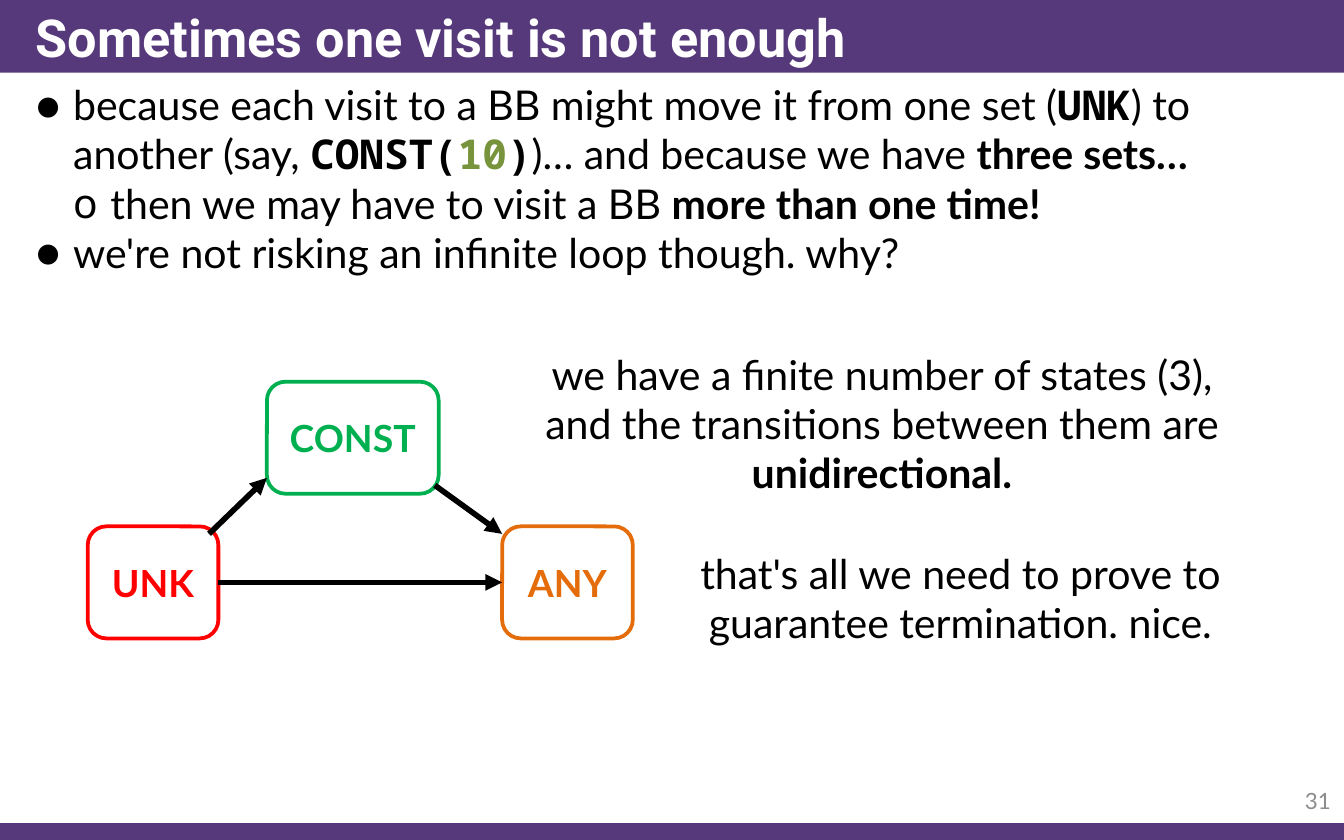
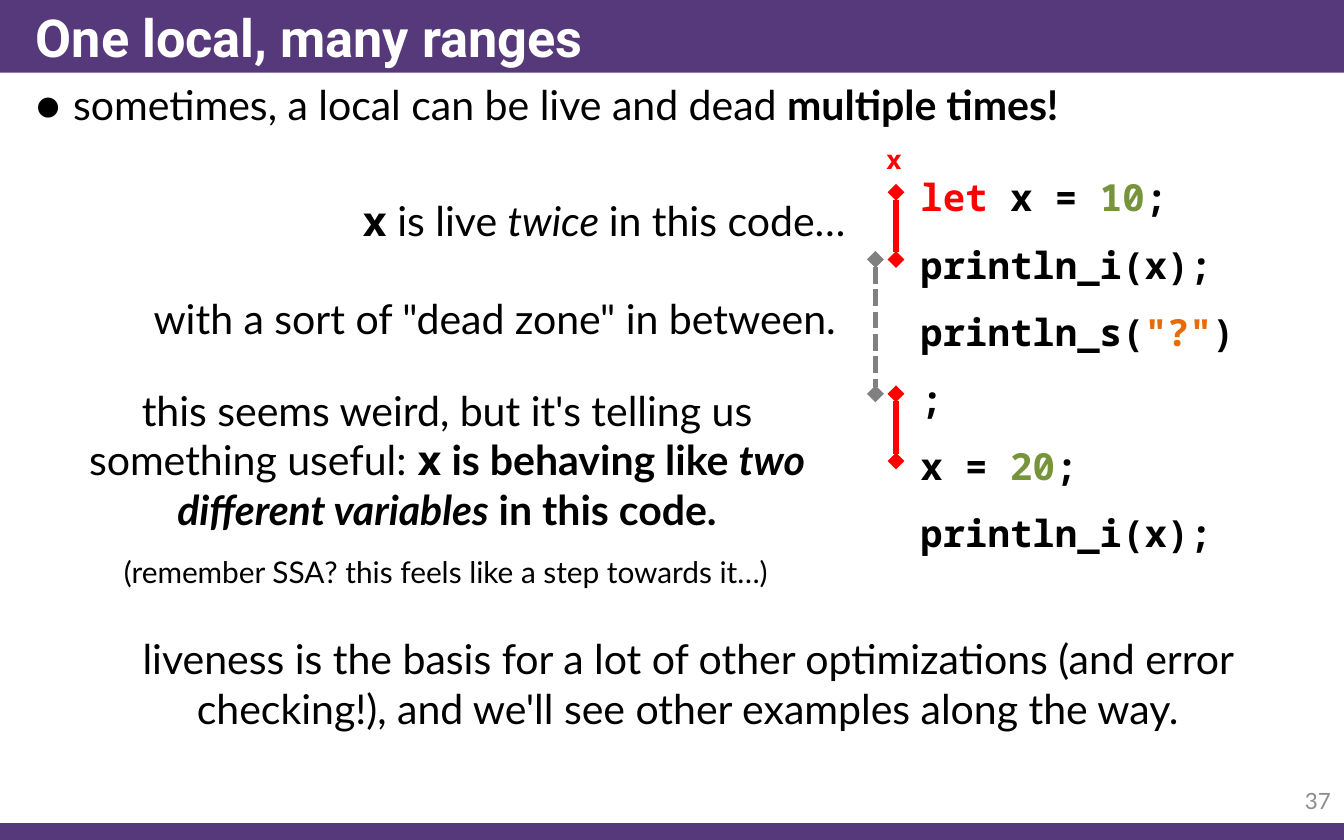
"""Build two lecture slides on constant sets and live ranges."""
import pptx
import pptx.util
import pptx.dml.color
import pptx.enum.dml
import pptx.enum.shapes
import pptx.enum.text
import pptx.oxml.ns
from lxml import etree

Pt = pptx.util.Pt
Rgb = pptx.dml.color.RGBColor.from_string
qn = pptx.oxml.ns.qn
Align = pptx.enum.text.PP_ALIGN
Anchor = pptx.enum.text.MSO_ANCHOR
Kind = pptx.enum.shapes.MSO_SHAPE
Dash = pptx.enum.dml.MSO_LINE


class Theme:
    """Colours, fonts and type sizes."""
    band, ink, white = "56397B", "000000", "FFFFFF"
    red, green, orange = "FF0000", "00B050", "E46C0A"
    olive, grey, faint = "77933C", "808080", "8C8C8C"
    sans, mono, head = "Lato", "Noto Sans Mono", "Roboto"
    title, body, code, note, tag, page = 28, 22, 20, 16, 14, 12


def put(frame, *rows, align=Align.LEFT, anchor=Anchor.TOP, lead=None, wrap=True, **base):
    """Write rows of text, or of (text, format) runs, into a frame."""
    frame.word_wrap = wrap
    frame.auto_size = pptx.enum.text.MSO_AUTO_SIZE.NONE
    frame.vertical_anchor = anchor
    for num, row in enumerate(rows):
        par = frame.add_paragraph() if num else frame.paragraphs[0]
        par.alignment = align
        par.space_before = Pt(0)
        par.line_spacing = lead
        for text, own in [(row, {})] if isinstance(row, str) else row:
            look = {"face": Theme.sans, "size": Theme.body, "hue": Theme.ink, **base, **own}
            run = par.add_run()
            run.text = text
            run.font.name = look["face"]
            run.font.size = Pt(look["size"])
            run.font.color.rgb = Rgb(look["hue"])
            run.font.bold = look.get("bold", False)
            run.font.italic = look.get("slant", False)


def link(shapes, ends, hue, head, tail, dash=None):
    """Draw a line with the given ends."""
    line = shapes.add_connector(pptx.enum.shapes.MSO_CONNECTOR.STRAIGHT, *map(Pt, ends))
    line.line.color.rgb = Rgb(hue)
    line.line.width = Pt(3)
    if dash:
        line.line.dash_style = dash
    props = line.element.spPr
    stroke = props.find(qn("a:ln"))
    for name, form in (("a:headEnd", head), ("a:tailEnd", tail)):
        etree.SubElement(stroke, qn(name), type=form)
    etree.SubElement(props, qn("a:effectLst"))
    return line


plain = {}
bold = {"bold": True}
both = {"bold": True, "slant": True}
mono = {"bold": True, "face": Theme.mono}
count = {**mono, "hue": Theme.olive}
word = {**mono, "hue": Theme.red}
quote = {**mono, "hue": Theme.orange}

deck = pptx.Presentation()
deck.slide_width, deck.slide_height = Pt(720), Pt(450)
layout = deck.slide_layouts[1]

pages = [
    ("Sometimes one visit is not enough", "31", 125, [
        (0, [("because each visit to a BB might move it from one set (", plain),
             ("UNK", mono), (") to another (say, ", plain), ("CONST(", mono),
             ("10", count), (")", mono), (")… and because we have ", plain),
             ("three sets…", bold)]),
        (1, [("then we may have to visit a BB ", plain), ("more than one time!", bold)]),
        (0, "we're not risking an infinite loop though. why?")]),
    ("One local, many ranges", "37", 39, [
        (0, [("sometimes, a local can be live and dead ", plain), ("multiple times!", bold)])]),
]
slides = []
for title, page, tall, points in pages:
    slide = deck.slides.add_slide(layout)
    slides.append(slide)
    top, body = slide.placeholders
    for hold, place in ((top, (12, 0, 708, 39)), (body, (12, 39, 708, tall))):
        hold.left, hold.top, hold.width, hold.height = map(Pt, place)
    put(top.text_frame, title, anchor=Anchor.MIDDLE, face=Theme.head,
        size=Theme.title, hue=Theme.white, bold=True)
    put(body.text_frame, *[row for level, row in points])
    for par, (level, row) in zip(body.text_frame.paragraphs, points):
        par.level = level
        props = par._p.get_or_add_pPr()
        props.set("marL", str(Pt(20 * (level + 1))))
        props.set("indent", str(Pt(-20)))
        etree.SubElement(props, qn("a:buFont"), typeface=(Theme.sans, Theme.mono)[level])
        etree.SubElement(props, qn("a:buChar"), char="●o"[level])
    foot = slide.shapes.add_textbox(Pt(666), Pt(417), Pt(54), Pt(24))
    put(foot.text_frame, page, align=Align.RIGHT, anchor=Anchor.MIDDLE,
        size=Theme.page, hue=Theme.faint)

visit, local = slides

for y, tall in ((0, 39), (441, 9)):
    band = visit.shapes.add_shape(Kind.RECTANGLE, Pt(0), Pt(y), Pt(720), Pt(tall))
    band.shadow.inherit = False
    band.fill.solid()
    band.fill.fore_color.rgb = Rgb(Theme.band)
    band.line.fill.background()
    layout.shapes.element.insert(2, band.element)

graph = visit.shapes.add_group_shape().shapes
states = {}
for name, x, y, wide, hue in (("UNK", 47, 282, 70, Theme.red),
                              ("CONST", 143, 204.5, 92, Theme.green),
                              ("ANY", 269, 282, 70, Theme.orange)):
    state = graph.add_shape(Kind.ROUNDED_RECTANGLE, Pt(x), Pt(y), Pt(wide), Pt(60))
    state.shadow.inherit = False
    state.fill.background()
    state.line.color.rgb = Rgb(hue)
    state.line.width = Pt(2)
    put(state.text_frame, name, align=Align.CENTER, anchor=Anchor.MIDDLE,
        size=Theme.code, hue=hue, bold=True)
    states[name] = state
for ends in ((112, 286, 143, 256), (233, 260, 269, 286)):
    link(graph, ends, Theme.ink, "none", "triangle")
direct = link(graph, (117, 312, 269, 312), Theme.ink, "none", "triangle")
direct.begin_connect(states["UNK"], 3)
direct.end_connect(states["ANY"], 1)

code = [
    [("let", word), (" x = ", mono), ("10", count), (";", mono)],
    "println_i(x);",
    [("println_s(", mono), ("\"?\"", quote), (");", mono)],
    [("x = ", mono), ("20", count), (";", mono)],
    "println_i(x);",
]
mid = {"align": Align.CENTER}
right = {"align": Align.RIGHT}
texts = [
    (visit, (284, 183.5, 377, 87), mid, [
        [("we have a finite number of states (3), and the transitions between them are ", plain),
         ("unidirectional.", bold)]]),
    (visit, (348, 290, 333, 60), mid,
     ["that's all we need to prove to guarantee termination. nice."]),
    (local, (486, 78, 186, 185), {**mono, "size": Theme.code, "lead": 1.5}, code),
    (local, (468, 73.5, 22, 24), {**mid, **word, "size": Theme.tag, "wrap": False}, ["x"]),
    (local, (130, 101, 330, 34), right, [
        [("x", mono), (" is live ", plain), ("twice ", {"slant": True}),
         ("in this code…", plain)]]),
    (local, (53, 153.5, 402, 34), right, ["with a sort of \"dead zone\" in between."]),
    (local, (36, 203, 407, 87), mid, [
        [("this seems weird, but it's telling us something useful: ", plain), ("x", mono),
         (" is behaving like ", bold), ("two different variables", both),
         (" in this code.", bold)]]),
    (local, (40, 293, 398, 27), {**mid, "size": Theme.note},
     ["(remember SSA? this feels like a step towards it…)"]),
    (local, (44, 336, 649, 60), mid,
     ["liveness is the basis for a lot of other optimizations (and error checking!), "
      "and we'll see other examples along the way."]),
]
for slide, place, look, rows in texts:
    box = slide.shapes.add_textbox(*map(Pt, place))
    put(box.text_frame, *rows, **look)

for x, start, stop, hue, dash in ((480, 103, 139, Theme.red, None),
                                  (469, 139, 211, Theme.grey, Dash.SQUARE_DOT),
                                  (480, 211, 247, Theme.red, None)):
    link(local.shapes, (x, start, x, stop), hue, "diamond", "diamond", dash)

deck.save("out.pptx")
